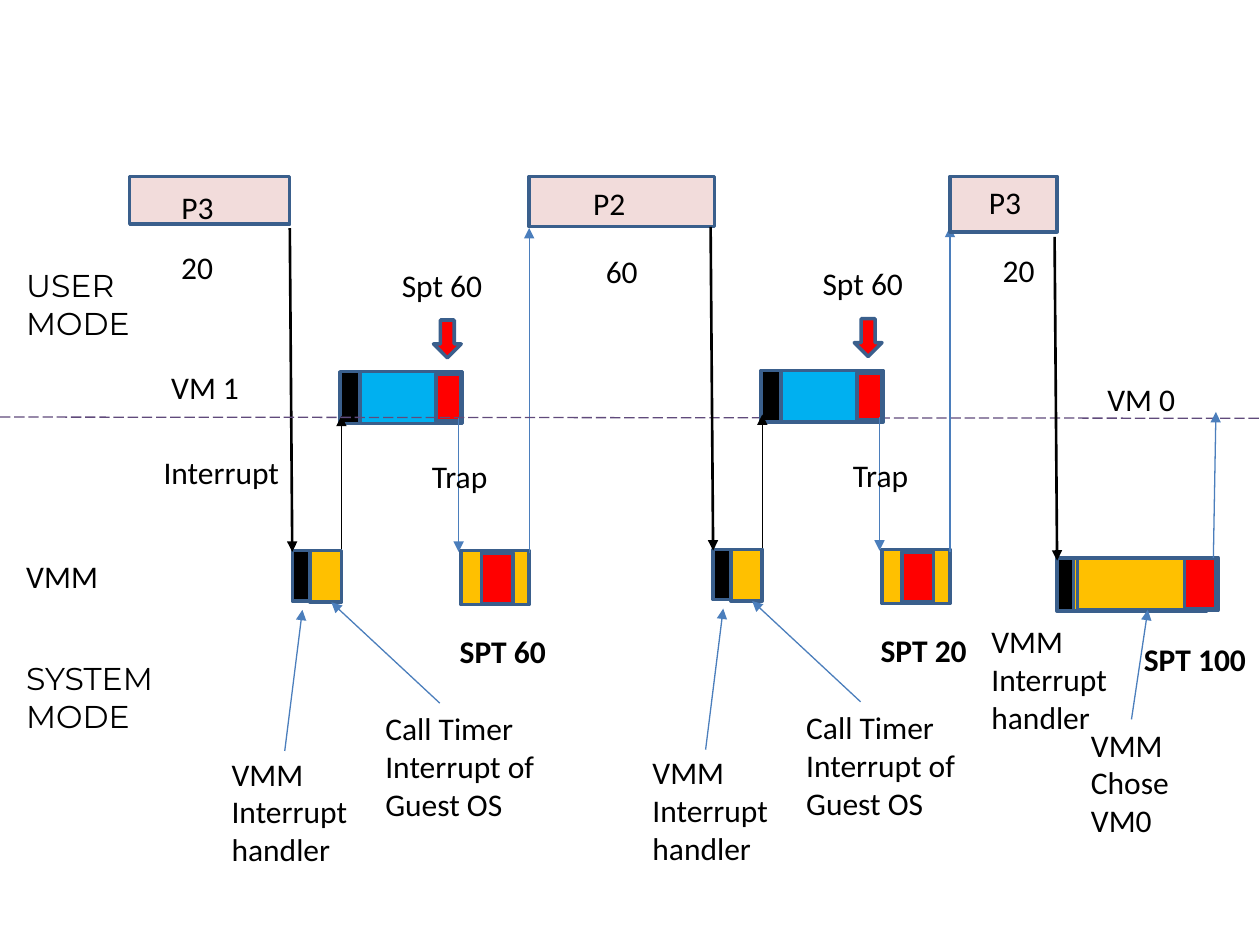
from dataclasses import dataclass

from lxml import etree
from pptx import Presentation
from pptx.dml.color import RGBColor
from pptx.enum.dml import MSO_LINE
from pptx.enum.shapes import MSO_CONNECTOR, MSO_SHAPE
from pptx.enum.text import MSO_AUTO_SIZE
from pptx.oxml.ns import qn
from pptx.util import Inches, Pt

RECTANGLE = MSO_SHAPE.RECTANGLE
DOWN_ARROW = MSO_SHAPE.DOWN_ARROW
STRAIGHT = MSO_CONNECTOR.STRAIGHT
LONG_DASH = MSO_LINE.LONG_DASH
FIT_SHAPE = MSO_AUTO_SIZE.SHAPE_TO_FIT_TEXT
BOTTOM = 2


@dataclass(frozen=True)
class Theme:
    black: str = "000000"
    process: str = "F2DCDB"
    amber: str = "FFC000"
    cyan: str = "00B0F0"
    red: str = "FF0000"
    outline: str = "3A5F8C"
    arrow: str = "4B7EBC"
    divider: str = "604A7B"
    body_font: str = "Calibri"
    mode_font: str = "Montserrat"
    text_size: float = 18
    outline_width: float = 2
    thin: float = 0.75
    thick: float = 1.5


class Diagram:
    def __init__(self, page, theme):
        self.page = page
        self.theme = theme

    def block(self, left, top, width, height, fill, kind=RECTANGLE):
        box = self.page.shapes.add_shape(
            kind, Inches(left), Inches(top), Inches(width), Inches(height))
        box.shadow.inherit = False
        box.fill.solid()
        box.fill.fore_color.rgb = RGBColor.from_string(fill)
        box.line.color.rgb = RGBColor.from_string(self.theme.outline)
        box.line.width = Pt(self.theme.outline_width)
        return box

    def label(self, left, top, width, height, *lines, wrap=False, **changes):
        box = self.page.shapes.add_textbox(
            Inches(left), Inches(top), Inches(width), Inches(height))
        frame = box.text_frame
        frame.word_wrap = wrap
        frame.auto_size = FIT_SHAPE
        formats = {"name": self.theme.body_font,
                   "size": Pt(self.theme.text_size), "bold": False} | changes
        for index, line in enumerate(lines):
            para = frame.add_paragraph() if index else frame.paragraphs[0]
            span = para.add_run()
            span.text = line
            span.font.color.rgb = RGBColor.from_string(self.theme.black)
            for name, value in formats.items():
                setattr(span.font, name, value)

    def line(self, start, end, color, width, dash=None, arrow=True):
        connector = self.page.shapes.add_connector(
            STRAIGHT, *(Inches(value) for value in (*start, *end)))
        connector.line.color.rgb = RGBColor.from_string(color)
        connector.line.width = Pt(width)
        if dash:
            connector.line.dash_style = dash
        if arrow:
            outline = connector.line._get_or_add_ln()
            etree.SubElement(outline, qn("a:tailEnd"), type="triangle")
        etree.SubElement(connector._element.spPr, qn("a:effectLst"))
        return connector

    def process(self, left, width, height, name, name_at, duration, duration_at):
        self.block(left, 1.4, width, height, self.theme.process)
        self.label(*name_at, 0.65, 0.4, name, wrap=True)
        self.label(*duration_at, 0.46, 0.4, duration)

    def interrupt(self, left, top):
        self.line((left - 0.02, top), (left, top + 2.57),
                  self.theme.black, self.theme.thick)

    def handler_note(self, left, top):
        self.label(left, top, 1.13, 1.01, "VMM", "Interrupt", "handler")

    def timer_cycle(self, left, top, result):
        theme = self.theme
        blocks = [
            (0, 0, 0.14, 0.4, theme.black),
            (0.14, 0, 0.25, 0.41, theme.amber),
            (0.38, -1.42, 0.16, 0.41, theme.black),
            (0.54, -1.42, 0.81, 0.41, theme.cyan),
            (1.14, -1.4, 0.2, 0.37, theme.red),
            (1.34, 0, 0.54, 0.43, theme.amber),
            (1.5, 0.02, 0.25, 0.4, theme.red),
        ]
        for x, y, width, height, fill in blocks:
            self.block(left + x, top + y, width, height, fill)
        self.block(left + 1.12, top - 1.83, 0.22, 0.3, theme.red, DOWN_ARROW)
        self.interrupt(left, top - 2.56)
        arrows = [
            (0.39, -0.01, 0.39, -1.07, theme.black),
            (-0.06, 1.59, 0.08, 0.47, theme.arrow),
            (1.17, 1.21, 0.31, 0.41, theme.arrow),
            (1.32, -1.05, 1.32, 0.01, theme.arrow),
            (1.88, 0.02, 1.88, -2.56, theme.arrow),
        ]
        for x1, y1, x2, y2, color in arrows:
            self.line((left + x1, top + y1), (left + x2, top + y2),
                      color, theme.thin)
        self.handler_note(left - 0.58, top + 1.57)
        self.label(left + 0.64, top + 1.21, 1.45, 1.01,
                   "Call Timer", "Interrupt of", "Guest OS")
        self.label(left + 0.77, top - 2.31, 0.85, 0.4, "Spt 60")
        self.label(left + 1.01, top - 0.79, 0.65, 0.4, "Trap")
        self.label(left + 1.23, top + 0.6, 0.89, 0.4, result, bold=True)

    def switch_to_vm0(self):
        theme = self.theme
        self.block(8.39, 4.43, 0.13, 0.42, theme.black)
        self.block(8.52, 4.43, 1.06, 0.42, theme.amber)
        self.interrupt(8.39, 1.88)
        choice = self.block(8.55, 4.43, 1.12, 0.41, theme.amber)
        self.block(9.4, 4.43, 0.25, 0.4, theme.red)
        self.line((9.63, 4.43), (9.65, 3.27), theme.arrow, theme.thin)
        pointer = self.line((8.98, 5.71), (9.11, 4.84), theme.arrow, theme.thin)
        pointer.end_connect(choice, BOTTOM)
        self.handler_note(7.77, 4.89)
        self.label(8.56, 5.71, 0.83, 1.01, "VMM", "Chose", "VM0")
        self.label(8.98, 5.03, 1.08, 0.4, "SPT 100", bold=True)

    def levels(self):
        theme = self.theme
        self.line((0, 3.31), (10, 3.32), theme.divider, theme.thin,
                  dash=LONG_DASH, arrow=False)
        self.label(0.11, 2.06, 1.06, 0.71, "USER", "MODE", name=theme.mode_font)
        self.label(0.11, 5.18, 1.44, 0.71, "SYSTEM", "MODE", name=theme.mode_font)
        self.label(0.11, 4.37, 0.78, 0.4, "VMM")
        self.label(1.26, 2.87, 0.75, 0.4, "VM 1")
        self.label(8.69, 2.97, 0.75, 0.4, "VM 0")
        self.label(1.2, 3.55, 1.13, 0.4, "Interrupt")


def main():
    deck = Presentation()
    deck.slide_width = Inches(10)
    deck.slide_height = Inches(7.5)
    page = deck.slides.add_slide(deck.slide_layouts[6])
    diagram = Diagram(page, Theme())
    diagram.process(1.03, 1.27, 0.38, "P3", (1.34, 1.44), "20", (1.34, 1.92))
    diagram.timer_cycle(2.32, 4.37, "SPT 60")
    diagram.process(4.2, 1.47, 0.4, "P2", (4.61, 1.41), "60", (4.71, 1.95))
    diagram.levels()
    diagram.switch_to_vm0()
    diagram.timer_cycle(5.66, 4.36, "SPT 20")
    diagram.process(7.54, 0.85, 0.44, "P3", (7.75, 1.4), "20", (7.86, 1.94))
    deck.save("out.pptx")


if __name__ == "__main__":
    main()
